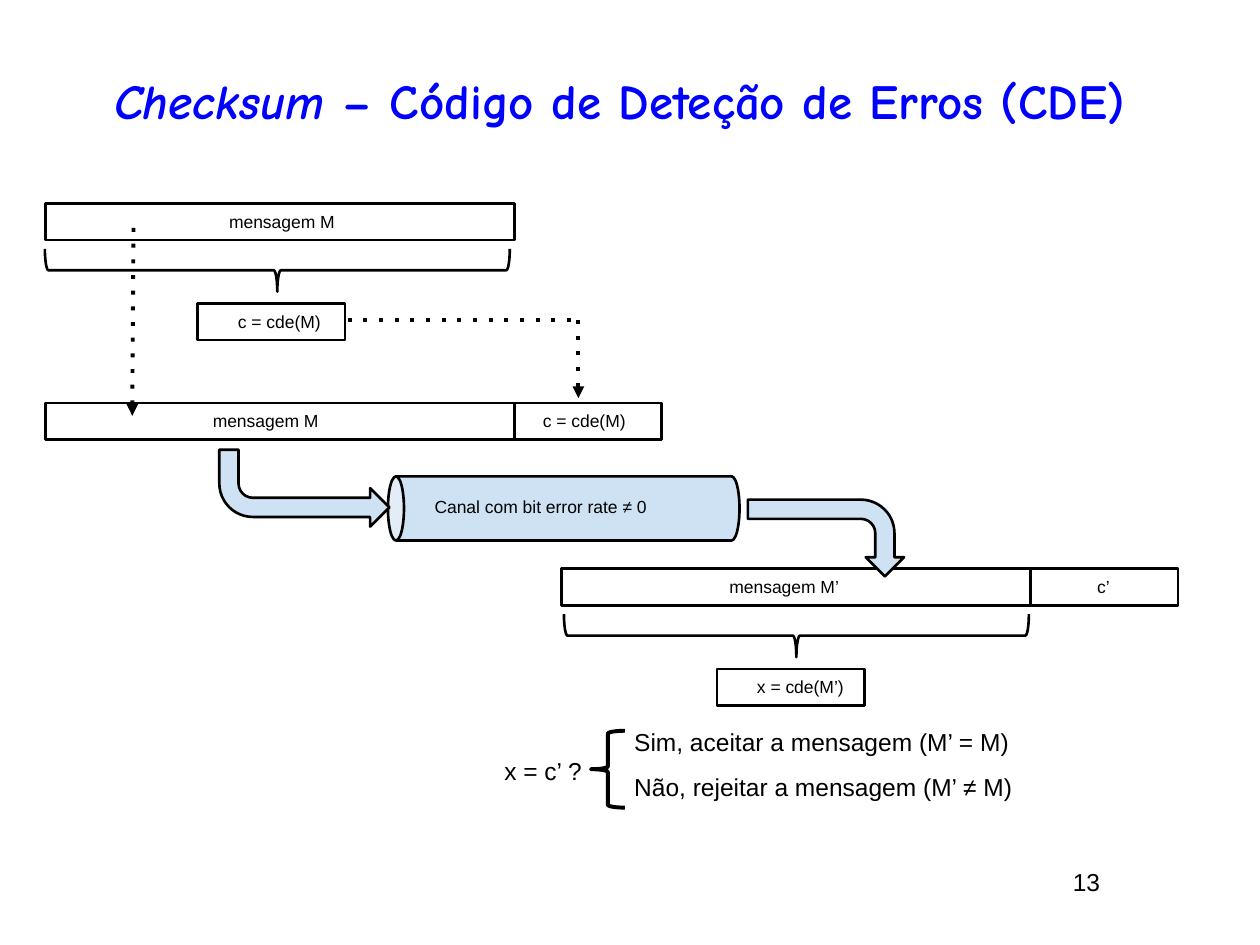
from lxml import etree
from pptx import Presentation
from pptx.dml.color import RGBColor
from pptx.enum import shapes, text
from pptx.oxml.ns import qn
from pptx.util import Pt

COLOURS = {"ink": "000000", "title": "0000FF", "channel": "CFE2F3"}
BAR_WIDTH, CODE_WIDTH, BAR_HEIGHT = 268, 84.2, 21
SHAPE = shapes.MSO_SHAPE


class Diagram:
    font = "Arial"
    line_width = 1.5

    def __init__(self, slide):
        self.slide = slide

    def colour(self, name):
        return RGBColor.from_string(COLOURS[name])

    def text(self, left, top, width, height, runs, size=10, margin=7.2,
             middle=False, centred=False, font=None, colour="ink", bold=False):
        frame = self.slide.shapes.add_textbox(
            Pt(left), Pt(top), Pt(width), Pt(height)).text_frame
        frame.word_wrap = True
        frame.margin_left = frame.margin_right = Pt(7.2)
        frame.margin_top = frame.margin_bottom = Pt(margin)
        anchors = text.MSO_ANCHOR
        frame.vertical_anchor = anchors.MIDDLE if middle else anchors.TOP
        paragraph = frame.paragraphs[0]
        paragraph.alignment = text.PP_ALIGN.CENTER if centred else text.PP_ALIGN.LEFT
        for wording, italic in runs:
            run = paragraph.add_run()
            run.text = wording
            run.font.name = font or self.font
            run.font.size = Pt(size)
            run.font.bold = bold
            run.font.italic = italic
            run.font.color.rgb = self.colour(colour)

    def shape(self, kind, left, top, width, height, rotation=0, flip=False,
              adjustments=(), fill=None, line_width=None):
        shape = self.slide.shapes.add_shape(
            kind, Pt(left), Pt(top), Pt(width), Pt(height))
        shape.shadow.inherit = False
        shape.rotation = rotation
        if flip:
            shape._element.spPr.find(qn("a:xfrm")).set("flipH", "1")
        for index, value in enumerate(adjustments):
            shape.adjustments[index] = value
        if fill:
            shape.fill.solid()
            shape.fill.fore_color.rgb = self.colour(fill)
        else:
            shape.fill.background()
        shape.line.color.rgb = self.colour("ink")
        shape.line.width = Pt(line_width or self.line_width)

    def field(self, left, top, width, wording, label_left, label_width):
        self.shape(SHAPE.RECTANGLE, left, top, width, BAR_HEIGHT)
        self.text(label_left, top - 5.3, label_width, 31, [(wording, False)], middle=True)

    def brace(self, left, top):
        self.shape(SHAPE.RIGHT_BRACE, left, top, 24.5, 265.7, 270, True, (0.083, 0.5))

    def dotted(self, start, end, arrow=True):
        connector = self.slide.shapes.add_connector(
            shapes.MSO_CONNECTOR.STRAIGHT, *map(Pt, start + end))
        connector.line.color.rgb = self.colour("ink")
        connector.line.width = Pt(2.25)
        outline = connector.line._get_or_add_ln()
        etree.SubElement(outline, qn("a:prstDash"), val="dot")
        if arrow:
            etree.SubElement(outline, qn("a:tailEnd"), type="triangle")
        etree.SubElement(connector._element.spPr, qn("a:effectLst"))


def main():
    deck = Presentation()
    deck.slide_width, deck.slide_height = Pt(720), Pt(540)
    diagram = Diagram(deck.slides.add_slide(deck.slide_layouts[6]))

    diagram.text(24, 30, 660, 54,
                 [("Checksum", True), (" – Código de Deteção de Erros (CDE)", False)],
                 size=28, margin=3.6, middle=True, centred=True,
                 font="Comic Neue", colour="title", bold=True)
    diagram.text(606, 492, 72, 30, [("13", False)], size=14, margin=3.6)

    for left, top, width, wording, label_left, label_width in (
        (26, 116.2, BAR_WIDTH, "mensagem M", 123.8, 90),
        (113, 173.4, CODE_WIDTH, "c = cde(M)", 128.9, 75),
        (26, 230.2, BAR_WIDTH, "mensagem M", 114.5, 90),
        (294, 230.2, CODE_WIDTH, "c = cde(M)", 303.1, 75),
        (321, 325, BAR_WIDTH, "mensagem M’", 409.7, 90),
        (589, 325, CODE_WIDTH, "c’", 619.9, 75),
        (409.7, 382.2, CODE_WIDTH, "x = cde(M’)", 425.5, 75),
    ):
        diagram.field(left, top, width, wording, label_left, label_width)

    for left, top in ((146.2, 21.6), (442.8, 230.4)):
        diagram.brace(left, top)

    diagram.dotted((76.3, 130.3), (75.6, 237.6))
    diagram.dotted((198.7, 182.9), (330.5, 182.9), arrow=False)
    diagram.dotted((330.5, 182.9), (330.5, 227.5))

    diagram.shape(SHAPE.CAN, 303.8, 190.1, 36.7, 200.9, 270,
                  adjustments=(0.25,), fill="channel")
    diagram.text(241.2, 277.2, 154.8, 36.7, [("Canal com bit error rate ≠ 0", False)])
    bend = (0.25, 0.25, 0.25, 0.438)
    diagram.shape(SHAPE.BENT_ARROW, 125.3, 257, 97.2, 43.9, 180, True, bend, "channel")
    diagram.shape(SHAPE.BENT_ARROW, 450, 262.8, 43.9, 89.3, 90, False, bend, "channel")

    for left, top, width, wording in (
        (281.1, 424.8, 74.2, "x = c’ ?"),
        (355.3, 408.2, 243.4, "Sim, aceitar a mensagem (M’ = M)"),
        (355.3, 434.2, 272.2, "Não, rejeitar a mensagem (M’ ≠ M)"),
    ):
        diagram.text(left, top, width, 31, [(wording, False)], size=14)
    diagram.shape(SHAPE.LEFT_BRACE, 337.7, 417.6, 19.4, 43.9,
                  adjustments=(0.083, 0.5), line_width=2.25)

    deck.save("out.pptx")


if __name__ == "__main__":
    main()
